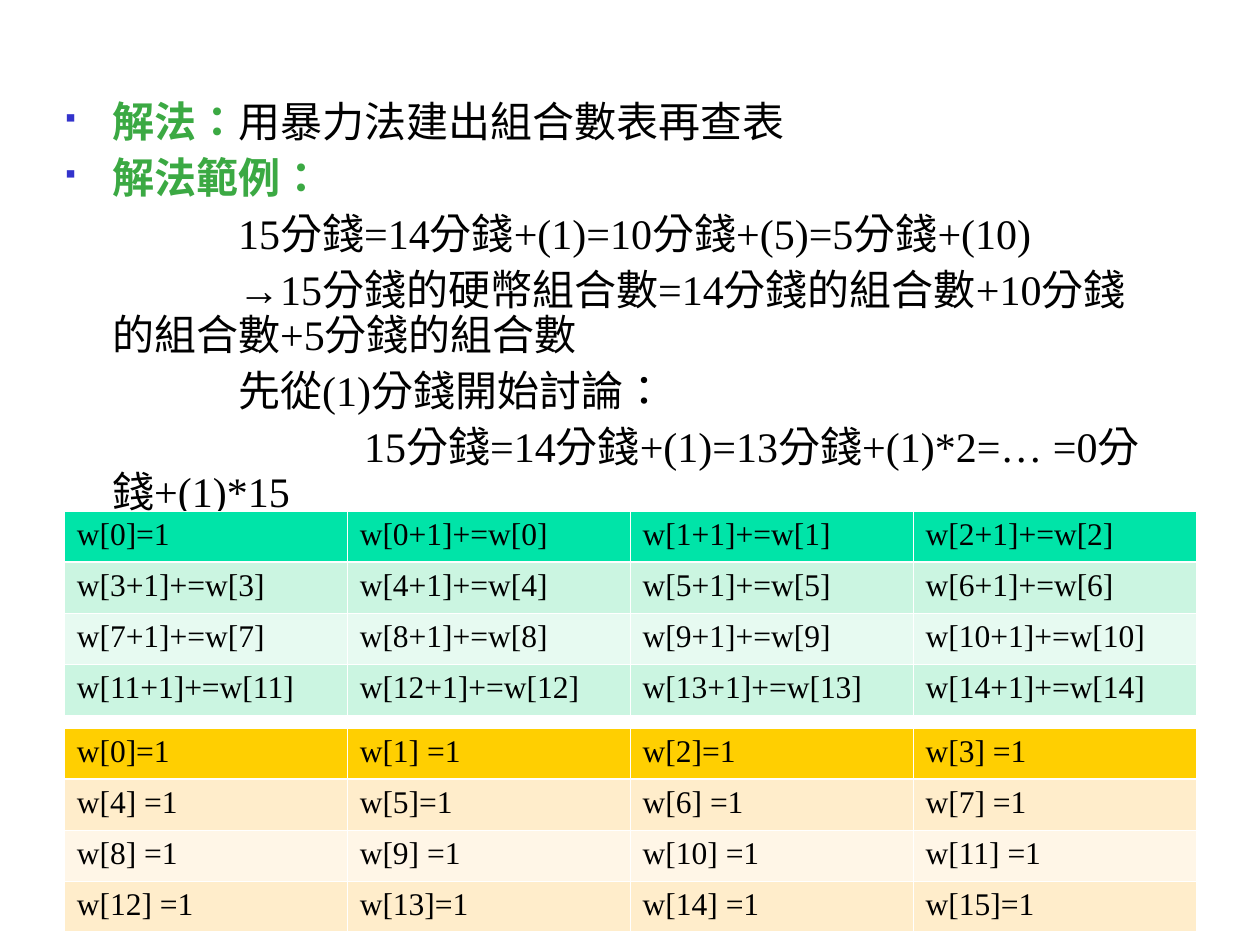
from lxml import etree
from pptx import Presentation
from pptx.dml.color import RGBColor
from pptx.enum.lang import MSO_LANGUAGE_ID
from pptx.oxml.ns import qn
from pptx.util import Pt

CHINESE = MSO_LANGUAGE_ID.TRADITIONAL_CHINESE
SERIF = "Times New Roman"
ARROW_FONT = "Arial"
EAST_ASIAN = "Noto Sans CJK SC"
BULLET_FONT = "Wingdings"

BLACK = RGBColor(0x00, 0x00, 0x00)
WHITE = RGBColor(0xFF, 0xFF, 0xFF)
HEADING_GREEN = RGBColor(0x3B, 0xA9, 0x43)
BULLET_BLUE = RGBColor(0x33, 0x33, 0xCC)
GREEN_HEADER = RGBColor(0x00, 0xE4, 0xA8)
GREEN_BANDS = (RGBColor(0xCB, 0xF5, 0xE1), RGBColor(0xE7, 0xFA, 0xF1))
GOLD_HEADER = RGBColor(0xFF, 0xCF, 0x01)
GOLD_BANDS = (RGBColor(0xFF, 0xED, 0xCB), RGBColor(0xFF, 0xF6, 0xE7))

COLUMNS = 4
ROWS = 4
TABLE_LEFT = 36.7
COLUMN_WIDTH = 161.7
ROW_HEIGHT = 29.1
HANGING = 27
TAB_STEP = 72
TAB_COUNT = 8
THIN_LINE = 0.45
HEADER_LINE = 1.47
TIGHT_RESULTS = {0, 2, 5, 13, 15}


def add_element(parent, tag, **attributes):
    element = etree.SubElement(parent, qn(tag))
    for name, value in attributes.items():
        element.set(name, str(value))
    return element


def add_text(paragraph, text, size=24, font=SERIF, color=BLACK, bold=False):
    run = paragraph.add_run()
    run.text = text
    run.font.size = Pt(size)
    run.font.bold = bold
    run.font.color.rgb = color
    run.font.name = font
    run.font.language_id = CHINESE
    add_element(run._r.get_or_add_rPr(), "a:ea", typeface=EAST_ASIAN)


def format_paragraph(paragraph, bullet, space_before):
    paragraph.line_spacing = 0.9
    paragraph.space_before = Pt(space_before)
    properties = paragraph._p.get_or_add_pPr()
    properties.set("marL", str(Pt(HANGING)))
    properties.set("indent", str(-Pt(HANGING)))
    properties.set("defTabSz", str(Pt(TAB_STEP)))
    if bullet:
        color = add_element(properties, "a:buClr")
        add_element(color, "a:srgbClr", val=BULLET_BLUE)
        add_element(properties, "a:buSzPct", val=60000)
        add_element(properties, "a:buFont", typeface=BULLET_FONT, charset=2)
        add_element(properties, "a:buChar", char="§")
    else:
        tabs = add_element(properties, "a:tabLst")
        for index in range(TAB_COUNT):
            add_element(tabs, "a:tab", pos=Pt(HANGING + index * TAB_STEP), algn="l")


def add_explanation(slide):
    heading = {"color": HEADING_GREEN, "bold": True}
    lines = [
        (True, [("解法：", heading), ("用暴力法建出組合數表再查表", {})]),
        (True, [("解法範例：", {**heading, "font": EAST_ASIAN})]),
        (False, [("\t\t15分錢=14分錢+(1)=10分錢+(5)=5分錢+(10)", {})]),
        (False, [("\t\t", {}), ("→", {"font": ARROW_FONT}),
                 ("15分錢的硬幣組合數=14分錢的組合數+10分錢的組合數+5分錢的組合數", {})]),
        (False, [("\t\t先從(1)分錢開始討論：", {})]),
        (False, [("\t\t\t15分錢=14分錢+(1)=13分錢+(1)*2=… =0分錢+(1)*15", {})]),
    ]
    shape = slide.shapes.add_textbox(Pt(30), Pt(54.3), Pt(636), Pt(443))
    frame = shape.text_frame
    frame.word_wrap = True
    for index, (bullet, runs) in enumerate(lines):
        paragraph = frame.add_paragraph() if index else frame.paragraphs[0]
        format_paragraph(paragraph, bullet, 6 if index else 0)
        for text, text_format in runs:
            add_text(paragraph, text, **text_format)


def set_borders(cell, top, bottom):
    properties = cell._tc.get_or_add_tcPr()
    widths = {"L": THIN_LINE, "R": THIN_LINE, "T": top, "B": bottom}
    for side, width in widths.items():
        line = add_element(properties, f"a:ln{side}", w=Pt(width))
        add_element(add_element(line, "a:solidFill"), "a:srgbClr", val=WHITE)


def add_grid(slide, top, texts, header_color, band_colors):
    table = slide.shapes.add_table(
        ROWS, COLUMNS, Pt(TABLE_LEFT), Pt(top),
        Pt(COLUMNS * COLUMN_WIDTH), Pt(ROWS * ROW_HEIGHT)).table
    for index, text in enumerate(texts):
        row, column = divmod(index, COLUMNS)
        cell = table.cell(row, column)
        set_borders(cell, HEADER_LINE if row == 1 else THIN_LINE,
                    HEADER_LINE if row == 0 else THIN_LINE)
        cell.fill.solid()
        cell.fill.fore_color.rgb = band_colors[(row - 1) % 2] if row else header_color
        add_text(cell.text_frame.paragraphs[0], text, size=18)


def main():
    presentation = Presentation()
    presentation.slide_width = Pt(720)
    presentation.slide_height = Pt(540)
    slide = presentation.slides.add_slide(presentation.slide_layouts[6])
    add_explanation(slide)
    updates = ["w[0]=1"] + [f"w[{i}+1]+=w[{i}]" for i in range(15)]
    results = [f"w[{i}]=1" if i in TIGHT_RESULTS else f"w[{i}] =1" for i in range(16)]
    add_grid(slide, 292.2, updates, GREEN_HEADER, GREEN_BANDS)
    add_grid(slide, 416.1, results, GOLD_HEADER, GOLD_BANDS)
    presentation.save("out.pptx")


if __name__ == "__main__":
    main()
